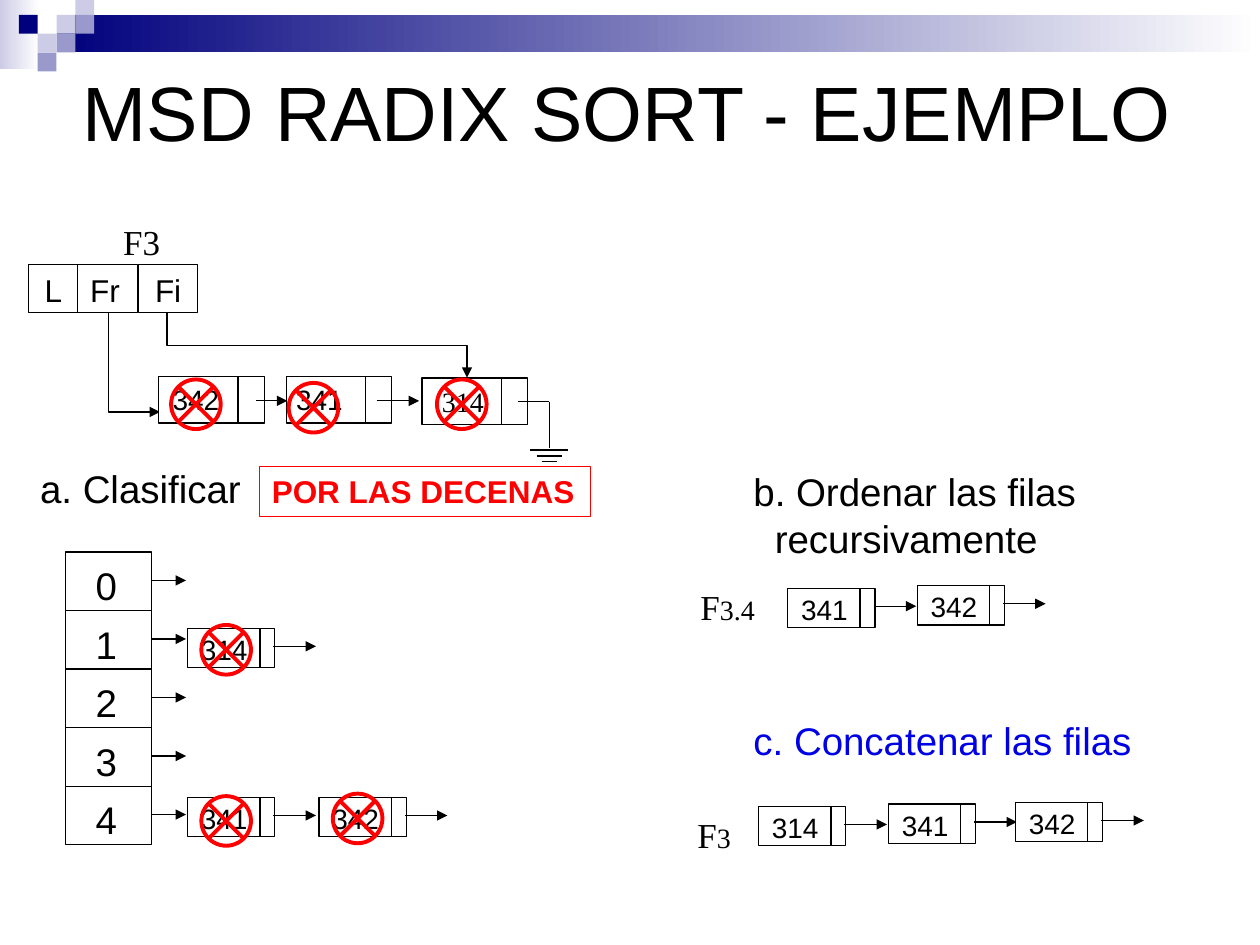
from lxml.etree import SubElement
from pptx import Presentation
from pptx.dml.color import RGBColor
from pptx.enum.shapes import MSO_CONNECTOR as Link, MSO_SHAPE as Kind
from pptx.enum.text import MSO_ANCHOR as Anchor, PP_ALIGN as Align
from pptx.oxml.ns import qn
from pptx.util import Cm, Pt

BLACK = RGBColor(0, 0, 0)
WHITE = RGBColor(255, 255, 255)
RED = RGBColor(255, 0, 0)
BLUE = RGBColor(0, 0, 0xE4)
NAVY = RGBColor(0, 0, 0x7D)
PALE = RGBColor(0xCC, 0xCC, 0xE6)
LILAC = RGBColor(0x99, 0x99, 0xCC)
SERIF = "Times New Roman"


def write(frame, text, size=16, font="Arial", color=BLACK, bold=False,
          align=Align.LEFT, anchor=Anchor.TOP, wrap=True, sub="", indent=0):
    """Fill a frame; sub is a smaller ending, indent moves later lines."""
    frame.word_wrap = wrap
    frame.vertical_anchor = anchor
    for i, line in enumerate(text.split("\n")):
        para = frame.add_paragraph() if i else frame.paragraphs[0]
        para.alignment = align
        if i and indent:
            para._p.get_or_add_pPr().set("marL", str(Cm(indent)))
        parts = [(line, size)] + ([(sub, 16)] if sub else [])
        for part, points in parts:
            run = para.add_run()
            run.text = part
            run.font.size = Pt(points)
            run.font.name = font
            run.font.bold = bold
            run.font.color.rgb = color


def label(slide, x, y, w, h, text, **style):
    area = slide.shapes.add_textbox(Cm(x), Cm(y), Cm(w), Cm(h))
    write(area.text_frame, text, **style)


def box(slide, x, y, w, h, fill=WHITE, line=BLACK, width=0.75, kind=Kind.RECTANGLE):
    shape = slide.shapes.add_shape(kind, Cm(x), Cm(y), Cm(w), Cm(h))
    shape.shadow.inherit = False
    if fill is None:
        shape.fill.background()
    else:
        shape.fill.solid()
        shape.fill.fore_color.rgb = fill
    if line is None:
        shape.line.fill.background()
    else:
        shape.line.color.rgb = line
        shape.line.width = Pt(width)
    return shape


def fade(slide, x, y, w, h, start):
    """Draw a band that fades to white on the right."""
    fill = box(slide, x, y, w, h, line=None).fill
    fill.gradient()
    fill.gradient_angle = 0
    for stop, color in zip(fill.gradient_stops, (start, WHITE)):
        stop.color.rgb = color


def line(slide, x1, y1, x2, y2, head=False, width=0.75, kind=Link.STRAIGHT):
    link = slide.shapes.add_connector(kind, Cm(x1), Cm(y1), Cm(x2), Cm(y2))
    link.line.color.rgb = BLACK
    link.line.width = Pt(width)
    props = link.element.spPr
    if head:
        SubElement(props.find(qn("a:ln")), qn("a:tailEnd"), type="triangle")
    SubElement(props, qn("a:effectLst"))
    return link


def arrow(slide, x, y, w):
    line(slide, x, y, x + w, y, head=True)


def elbow(slide, x, y, w, h, shape):
    """Draw a bent arrow that leaves downwards, turned by 270 degrees."""
    link = line(slide, x + w, y, x, y + h, head=True, kind=Link.ELBOW)
    props = link.element.spPr
    props.find(qn("a:xfrm")).set("rot", str(270 * 60000))
    props.find(qn("a:prstGeom")).set("prst", shape)


def cross(slide, x, y):
    box(slide, x, y, 1, 1, fill=None, line=RED, width=2.25,
        kind=Kind.FLOWCHART_SUMMING_JUNCTION)


def node(slide, x, y, text):
    box(slide, x, y, 1.47, 0.79)
    box(slide, x + 1.46, y, 0.3, 0.79)
    arrow(slide, x + 1.73, y + 0.36, 0.86)
    label(slide, x - 0.24, y - 0.04, 1.96, 1.09, text, align=Align.CENTER)


def cell(slide, x, y, text, shift, font="Arial"):
    """Draw a large list node; shift places its text."""
    box(slide, x, y, 1.62, 0.94)
    box(slide, x + 1.6, y, 0.53, 0.94)
    label(slide, x + shift, y, 1.6, 1.42, text, font=font)


def banner(slide):
    fade(slide, 0, -0.08, 0.79, 1.47, PALE)
    fade(slide, 1.14, 0.3, 24.26, 0.76, NAVY)
    tiles = ((3, 1, PALE), (4, 0, PALE), (4, 1, LILAC), (2, 2, PALE),
             (1, 1, NAVY), (3, 2, LILAC), (2, 3, LILAC))
    for col, row, color in tiles:
        box(slide, 0.38 * col, 0.38 * row - 0.08, 0.38, 0.38, color, None)


def queue(slide):
    label(slide, 2.18, 4.32, 1.35, 1.45, "F3", size=20, font=SERIF, align=Align.CENTER)
    for x, w, text in ((0.58, 0.99, "L"), (1.57, 1.2, "Fr"), (2.79, 1.2, "Fi")):
        frame = box(slide, x, 5.33, w, 0.97).text_frame
        write(frame, text, size=18, align=Align.LEFT if text == "Fr" else Align.CENTER)
    elbow(slide, 1.7, 6.78, 2.01, 1.04, "bentConnector2")
    elbow(slide, 5.74, 3.94, 1.3, 6.05, "bentConnector3")
    cell(slide, 3.2, 7.59, "342", 0.03)
    cell(slide, 5.77, 7.59, "341", -0.05)
    cell(slide, 8.51, 7.62, "314", 0.15, SERIF)
    arrow(slide, 5.16, 8.08, 0.63)
    arrow(slide, 7.59, 8.08, 0.86)
    mid = 11.07
    line(slide, 10.44, 8.1, mid, 8.1)
    line(slide, mid, 8.1, mid, 9.04, width=0.5)
    for half, y in ((0.38, 9.07), (0.25, 9.19), (0.15, 9.3)):
        line(slide, mid - half, y, mid + half, y)


def buckets(slide):
    for i in range(5):
        y = 11.13 + 1.18 * i
        box(slide, 1.32, y, 1.73, 1.18)
        arrow(slide, 3.05, y + 0.57, 0.7)
        label(slide, 1.42, y + 0.08, 1.45, 1, str(i), size=22, align=Align.CENTER)


def main():
    deck = Presentation()
    deck.slide_width, deck.slide_height = Cm(25.4), Cm(19.05)
    slide = deck.slides.add_slide(deck.slide_layouts[6])
    banner(slide)
    label(slide, 1.42, 0.33, 22.86, 3.81, "MSD RADIX SORT - EJEMPLO",
          size=44, anchor=Anchor.MIDDLE)
    queue(slide)
    buckets(slide)

    label(slide, 0.56, 9.25, 4.57, 1.19, "a. Clasificar", size=22, wrap=False)
    digit = box(slide, 5.23, 9.4, 6.68, 1.02, fill=None, line=RED)
    write(digit.text_frame, "POR LAS DECENAS", size=18, color=RED, bold=True, wrap=False)
    label(slide, 14.94, 9.32, 7.32, 2.13, "b. Ordenar las filas\nrecursivamente",
          size=22, wrap=False, indent=0.43)
    label(slide, 14.94, 14.33, 8.23, 1.19, "c. Concatenar las filas",
          size=22, color=BLUE, wrap=False)
    for x, y, w, sub in ((13.69, 11.68, 1.96, "3.4"), (13.72, 16.28, 1.35, "3")):
        label(slide, x, y, w, 1.45, "F", size=20, font=SERIF, sub=sub, align=Align.CENTER)

    nodes = ((3.78, 12.67, "314"), (3.78, 16.08, "341"), (6.43, 16.08, "342"),
             (15.88, 11.86, "341"), (18.49, 11.81, "342"),
             (15.29, 16.26, "314"), (17.91, 16.21, "341"), (20.47, 16.18, "342"))
    for x, y, text in nodes:
        node(slide, x, y, text)
    for x, y in ((3.45, 7.65), (5.82, 7.72), (8.81, 7.65),
                 (4.06, 12.6), (4.06, 16.05), (6.71, 16)):
        cross(slide, x, y)
    deck.save("out.pptx")


if __name__ == "__main__":
    main()
